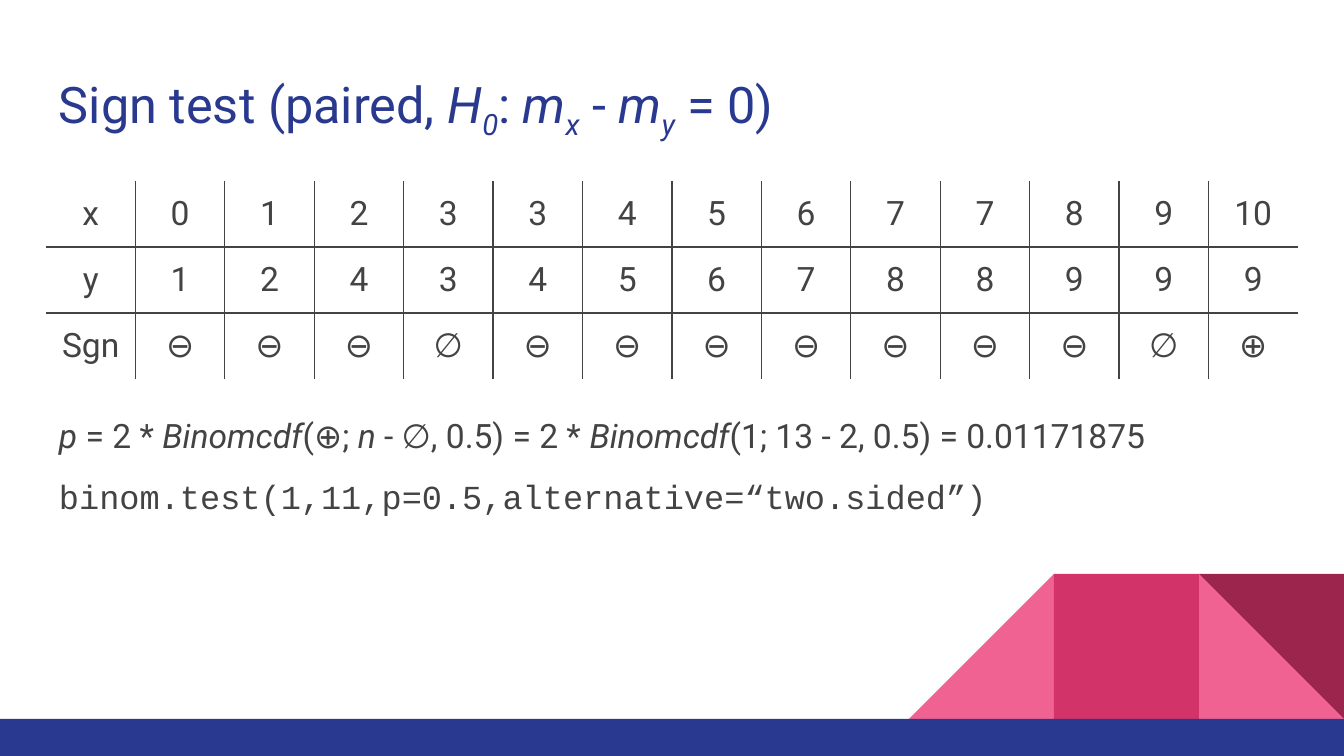
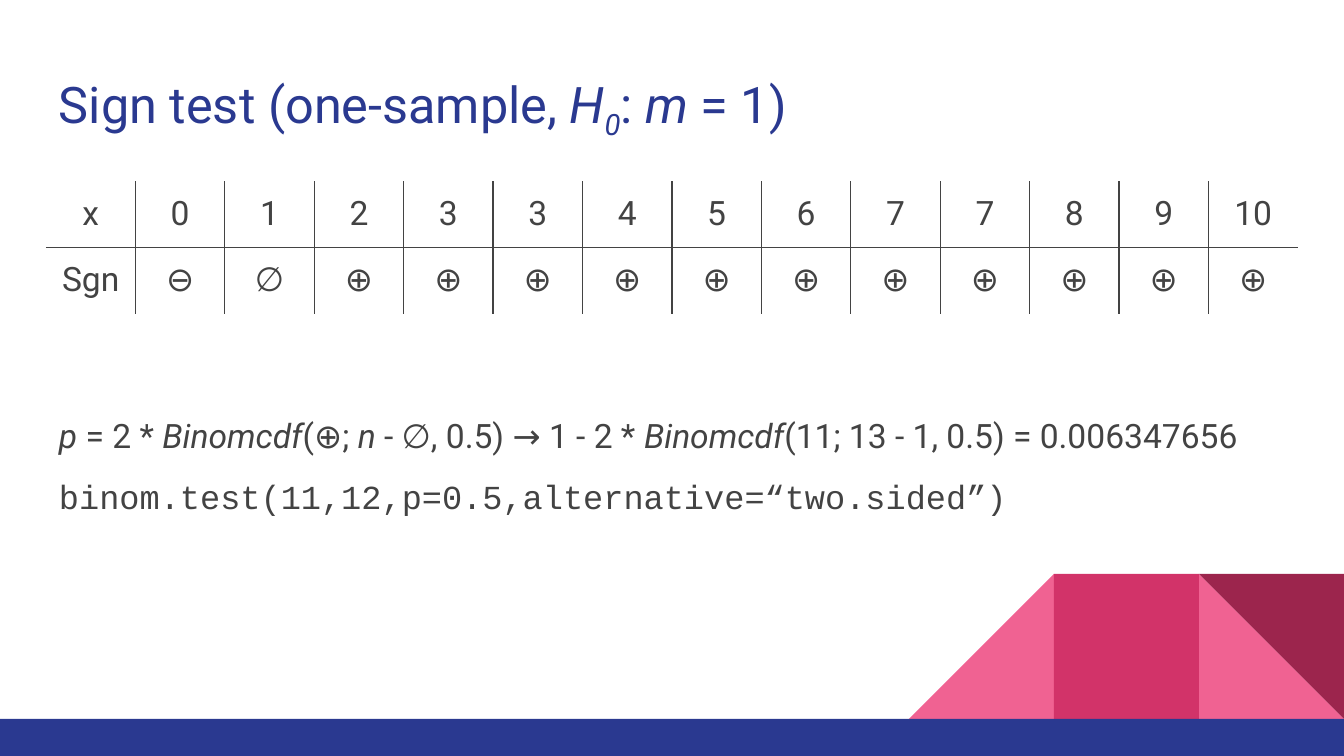
from lxml.etree import SubElement
from pptx import Presentation
from pptx.dml.color import RGBColor
from pptx.enum.shapes import MSO_SHAPE as Shape
from pptx.enum.text import MSO_ANCHOR as Anchor, MSO_AUTO_SIZE as AutoSize, PP_ALIGN as Align
from pptx.oxml.ns import qn
from pptx.util import Emu, Pt

# Content: text runs are (text, style), style being "", "i" (italic) or "sub" (italic subscript)
X_ROW = ["x", 0, 1, 2, 3, 3, 4, 5, 6, 7, 7, 8, 9, 10]
FORMULA_START = [("p", "i"), (" = 2 * ", ""), ("Binomcdf", "i"), ("(⊕; ", ""), ("n", "i")]

SLIDES = [
    {
        "title": [("Sign test (paired, ", ""), ("H", "i"), ("0", "sub"), (": ", ""),
                  ("m", "i"), ("x", "sub"), (" - ", ""), ("m", "i"), ("y", "sub"),
                  (" = 0)", "")],
        "table": [X_ROW,
                  ["y", 1, 2, 4, 3, 4, 5, 6, 7, 8, 8, 9, 9, 9],
                  ["Sgn", *"⊖⊖⊖∅⊖⊖⊖⊖⊖⊖⊖∅⊕"]],
        "formula": FORMULA_START + [(" - ∅, 0.5) = 2 * ", ""), ("Binomcdf", "i"),
                                    ("(1; 13 - 2, 0.5) = 0.01171875", "")],
        "code": "binom.test(1,11,p=0.5,alternative=“two.sided”)",
    },
    {
        "title": [("Sign test (one-sample, ", ""), ("H", "i"), ("0", "sub"), (": ", ""),
                  ("m", "i"), (" = 1)", "")],
        "table": [X_ROW, ["Sgn", *"⊖∅⊕⊕⊕⊕⊕⊕⊕⊕⊕⊕⊕"]],
        "formula": FORMULA_START + [(" - ∅, 0.5) → 1 - 2 * ", ""), ("Binomcdf", "i"),
                                    ("(11; 13 - 1, 0.5) = 0.006347656", "")],
        "code": "binom.test(11,12,p=0.5,alternative=“two.sided”)",
    },
]

# Shared look
COLORS = {"blue": "2A3990", "text": "434343", "light": "F06292",
          "pink": "D23369", "dark": "9C254D"}
TITLE = {"size": 27, "font": "Roboto", "color": "blue"}
BODY = {"size": 18, "font": "Roboto", "color": "text"}
CODE = {**BODY, "font": "Courier New"}

# Layout in px
WIDTH, HEIGHT = 1344, 756
BAND_TOP, TILE = 719, 145
LEFT, CONTENT_WIDTH, INSET = 46, 1252, 13
TITLE_TOP, TITLE_HEIGHT = 60, 89
TABLE_TOP, ROW_HEIGHT = 181, 66
BODY_TOP, BODY_HEIGHT = 382, 129


def px(value):
    return Emu(round(value * 914400 / 134.4))


def rgb(name):
    return RGBColor.from_string(COLORS[name])


def set_insets(target):
    for side in ("left", "right", "top", "bottom"):
        setattr(target, f"margin_{side}", px(INSET))


def add_runs(paragraph, runs, look):
    for text, style in runs:
        run = paragraph.add_run()
        run.text = text
        font = run.font
        values = {"size": Pt(look["size"]), "name": look["font"], "italic": bool(style)}
        for name, value in values.items():
            setattr(font, name, value)
        font.color.rgb = rgb(look["color"])
        if style == "sub":
            run._r.get_or_add_rPr().set("baseline", "-25000")


def add_text(slide, top, height, paragraphs, spacing, auto_size):
    box = slide.shapes.add_textbox(px(LEFT), px(top), px(CONTENT_WIDTH), px(height))
    frame = box.text_frame
    frame.word_wrap = True
    frame.auto_size = auto_size
    set_insets(frame)
    for index, (runs, look) in enumerate(paragraphs):
        paragraph = frame.add_paragraph() if index else frame.paragraphs[0]
        paragraph.line_spacing = spacing
        add_runs(paragraph, runs, look)


def add_block(slide, kind, left, top, width, height, color):
    shape = slide.shapes.add_shape(kind, px(left), px(top), px(width), px(height))
    shape.shadow.inherit = False
    shape.fill.solid()
    shape.fill.fore_color.rgb = rgb(color)
    shape.line.fill.background()
    return shape


def add_decoration(slide):
    """Blue band along the bottom with a row of pink tiles standing on it."""
    tiles = [  # kind, places from the right edge, colour, flipped, rotation
        (Shape.RIGHT_TRIANGLE, 1, "light", False, 0),
        (Shape.RIGHT_TRIANGLE, 3, "light", True, 0),
        (Shape.RECTANGLE, 2, "pink", False, 0),
        (Shape.RIGHT_TRIANGLE, 1, "dark", False, 180),
    ]
    for kind, place, color, flipped, rotation in tiles:
        tile = add_block(slide, kind, WIDTH - place * TILE, BAND_TOP - TILE, TILE, TILE, color)
        tile.rotation = rotation
        if flipped:
            tile._element.spPr.find(qn("a:xfrm")).set("flipH", "1")
    add_block(slide, Shape.RECTANGLE, 0, BAND_TOP, WIDTH, HEIGHT - BAND_TOP, "blue")


def set_borders(cell, visible):
    """Draw the visible sides (tag to bool, in schema order) and clear the others."""
    properties = cell._tc.get_or_add_tcPr()
    for tag, shown in visible.items():
        line = SubElement(properties, qn(f"a:{tag}"), w=str(Pt(0.75)))
        fill = SubElement(line, qn("a:solidFill" if shown else "a:noFill"))
        if shown:
            SubElement(fill, qn("a:srgbClr"), val=COLORS["text"])


def add_grid(slide, rows):
    row_count, column_count = len(rows), len(rows[0])
    frame = slide.shapes.add_table(row_count, column_count, px(LEFT), px(TABLE_TOP),
                                   px(CONTENT_WIDTH), px(ROW_HEIGHT * row_count))
    table = frame.table
    table.first_row = table.horz_banding = False
    for column in table.columns:
        column.width = px(CONTENT_WIDTH / column_count)
    for r, values in enumerate(rows):
        table.rows[r].height = px(ROW_HEIGHT)
        for c, value in enumerate(values):
            cell = table.cell(r, c)
            cell.vertical_anchor = Anchor.MIDDLE
            set_insets(cell)
            # Only lines between cells show
            set_borders(cell, {"lnL": c > 0, "lnR": c < column_count - 1,
                               "lnT": r > 0, "lnB": r < row_count - 1})
            cell.fill.background()
            paragraph = cell.text_frame.paragraphs[0]
            paragraph.alignment = Align.CENTER
            add_runs(paragraph, [(str(value), "")], BODY)


def main():
    presentation = Presentation()
    presentation.slide_width, presentation.slide_height = px(WIDTH), px(HEIGHT)
    for content in SLIDES:
        slide = presentation.slides.add_slide(presentation.slide_layouts[6])
        add_decoration(slide)
        add_text(slide, TITLE_TOP, TITLE_HEIGHT, [(content["title"], TITLE)], 1.0, AutoSize.NONE)
        add_grid(slide, content["table"])
        body = [(content["formula"], BODY), ([(content["code"], "")], CODE)]
        add_text(slide, BODY_TOP, BODY_HEIGHT, body, 1.5, AutoSize.SHAPE_TO_FIT_TEXT)
    presentation.save("out.pptx")


if __name__ == "__main__":
    main()
